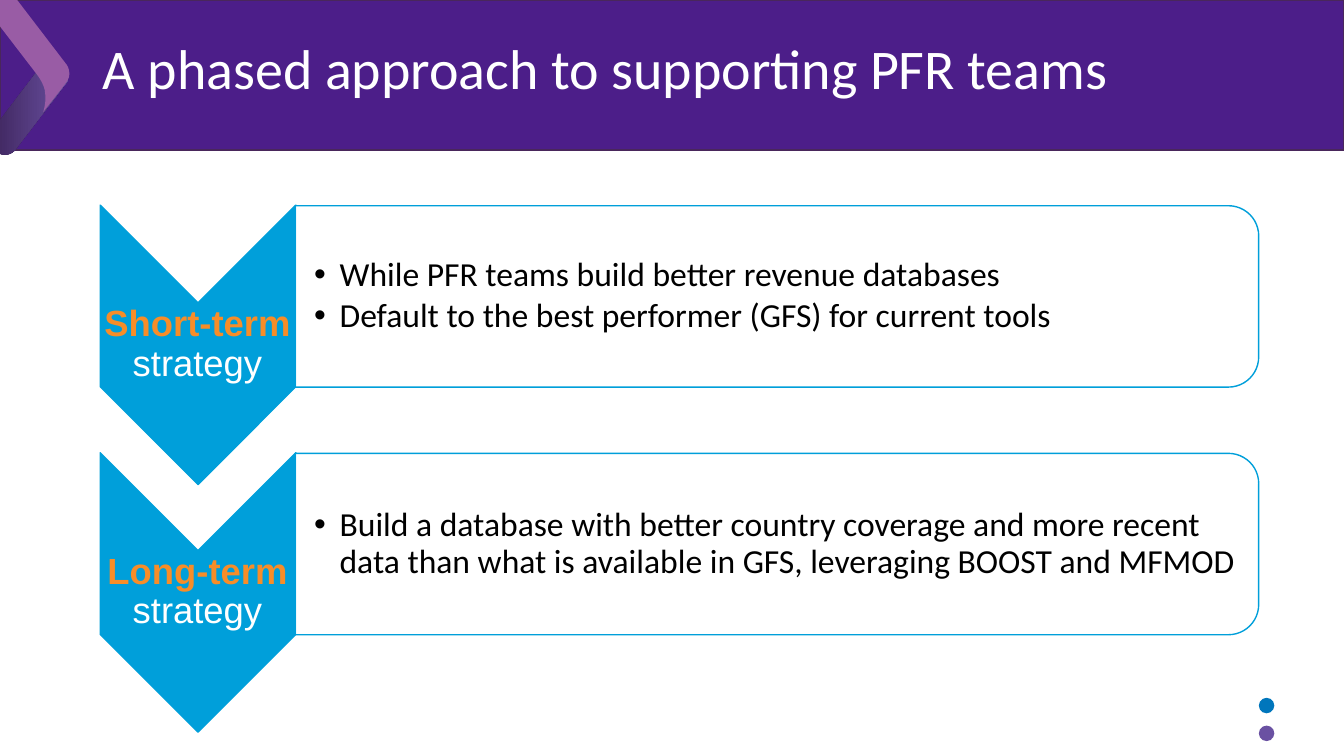
from lxml.etree import SubElement as Sub
from pptx import Presentation
from pptx.dml.color import RGBColor as RGB
from pptx.enum.shapes import MSO_SHAPE as Kind
from pptx.enum.text import MSO_ANCHOR as Anchor, PP_ALIGN as Align
from pptx.oxml.ns import qn
from pptx.util import Cm, Pt

TITLE = "A phased approach to supporting PFR teams"
PHASES = [
    ("Short-term ", "strategy", [
        "While PFR teams build better revenue databases",
        "Default to the best performer (GFS) for current tools",
    ]),
    ("Long-term ", "strategy", [
        "Build a database with better country coverage and more recent data "
        "than what is available in GFS, leveraging BOOST and MFMOD",
    ]),
]
HEX = {
    "band": "4C1E89", "edge": "49275B", "dark": "3D245B", "violet": "6A51A2",
    "pink": "995CA5", "blue": "0076BC", "sky": "009FDA", "orange": "F78D28",
    "white": "FFFFFF", "black": "000000",
}
FOLD = [
    (0.38, 3.78), (1.68, 2.08), (1.78, 1.96, 1.75, 1.75, 1.6, 1.65),
    (1.52, 1.57), (1.4, 1.47, 1.19, 1.5, 1.07, 1.63),
    (-0.23, 3.33), (-0.33, 3.45, -0.3, 3.66, -0.15, 3.78),
    (-0.08, 3.84), (0.08, 3.94, 0.28, 3.91, 0.38, 3.78),
]
ARROW = [
    (0.91, 1.85), (-0.18, 0.43), (-0.3, 0.25, -0.28, 0.03, -0.13, -0.1),
    (0.05, -0.23, 0.28, -0.18, 0.41, -0.03), (1.68, 1.63),
    (1.75, 1.73, 1.78, 1.9, 1.7, 2.03), (1.68, 2.08, 1.09, 2.82, 1.09, 2.82),
    (1.09, 2.82, 1.17, 2.59, 1.14, 2.36), (1.14, 2.13, 0.91, 1.85, 0.91, 1.85),
]
DOTS = [("blue", 17.78), ("violet", 18.48)]
PITCH = 6.24

deck = Presentation()
deck.slide_width, deck.slide_height = Cm(33.87), Cm(19.05)
slide = deck.slides.add_slide(deck.slide_layouts[5])
shapes = slide.shapes


def tint(name):
    return RGB.from_string(HEX[name])


def paint(shape, fill, line=None):
    shape.shadow.inherit = False
    shape.fill.solid()
    shape.fill.fore_color.rgb = tint(fill)
    if line:
        shape.line.color.rgb = tint(line)
        shape.line.width = Pt(1)
    else:
        shape.line.fill.background()
    return shape


def frame(mid, y, wide, high):
    return [Cm(v) for v in (mid - wide / 2, y - high / 2, wide, high)]


def flat(steps, parts=8):
    spots = [steps[0]]
    for step in steps[1:]:
        if len(step) == 2:
            spots.append(step)
            continue
        curve = [spots[-1], step[:2], step[2:4], step[4:]]
        for i in range(1, parts + 1):
            t = i / parts
            u = 1 - t
            mix = (u ** 3, 3 * u * u * t, 3 * u * t * t, t ** 3)
            spots.append(tuple(sum(m * p[k] for m, p in zip(mix, curve)) for k in (0, 1)))
    return [(Cm(x), Cm(y)) for x, y in spots]


def outline(steps, fill):
    spots = flat(steps)
    draft = shapes.build_freeform(*spots[0])
    draft.add_line_segments(spots[1:], close=True)
    return paint(draft.convert_to_shape(), fill)


def text_box(spot, left):
    body = shapes.add_textbox(*spot).text_frame
    body.word_wrap = True
    body.vertical_anchor = Anchor.MIDDLE
    body.margin_left = Cm(left)
    body.margin_right = body.margin_top = body.margin_bottom = Cm(0.05)
    return body


def write(para, text, size, face, color, bold=False):
    run = para.add_run()
    run.text = text
    run.font.size, run.font.name, run.font.bold = Pt(size), face, bold
    run.font.color.rgb = tint(color)


def bullet(para):
    para.level = 1
    props = para._p.get_or_add_pPr()
    props.set("marL", str(Cm(0.64)))
    props.set("indent", str(-Cm(0.64)))
    Sub(props, qn("a:buFont")).set("typeface", "Arial")
    Sub(props, qn("a:buChar")).set("char", "•")


def phase(row, term, noun, points):
    down = row * PITCH
    arrow = shapes.add_shape(Kind.CHEVRON, *frame(4.99, 8.69 + down, 7.04, 4.93))
    paint(arrow, "sky", "sky").rotation = 90
    label = text_box(frame(4.98, 8.69 + down, 4.93, 2.11), 0.05).paragraphs[0]
    label.alignment = Align.CENTER
    label.line_spacing, label.space_after = 0.9, Pt(9.1)
    write(label, term, 26, "Arial", "orange", True)
    write(label, noun, 26, "Arial", "white")

    card = shapes.add_shape(
        Kind.ROUND_2_SAME_RECTANGLE, *frame(19.58, 7.47 + down, 4.57, 24.28))
    paint(card, "white", "sky").rotation = 90
    color = card.fill._xPr.find(qn("a:solidFill"))[0]
    Sub(color, qn("a:alpha")).set("val", "90000")
    body = text_box(frame(19.48, 7.47 + down, 24.08, 4.11), 0.48)
    for i, point in enumerate(points):
        para = body.add_paragraph() if i else body.paragraphs[0]
        para.line_spacing, para.space_after = 0.9, Pt(3.6)
        bullet(para)
        write(para, point, 24, "Calibri", "black")


band = shapes.add_shape(Kind.RECTANGLE, 0, 0, deck.slide_width, Cm(3.78))
paint(band, "band", "edge")
fold = outline(FOLD, "dark")
fold.fill.gradient()
fold.fill.gradient_angle = 0
for stop, name in zip(fold.fill.gradient_stops, ("dark", "violet")):
    stop.color.rgb = tint(name)
outline(ARROW, "pink")
for name, y in DOTS:
    paint(shapes.add_shape(Kind.OVAL, *frame(31.92, y, 0.39, 0.39)), name)

for row, (term, noun, points) in enumerate(PHASES):
    phase(row, term, noun, points)

title = shapes.title
title.left, title.top, title.width, title.height = [
    Cm(v) for v in (2.34, -0.03, 29.21, 3.68)]
title.text_frame.vertical_anchor = Anchor.MIDDLE
head = title.text_frame.paragraphs[0]
head.alignment, head.line_spacing = Align.LEFT, 0.9
write(head, TITLE, 40, "Calibri", "white")
shapes._spTree.append(title._element)

deck.save("out.pptx")
